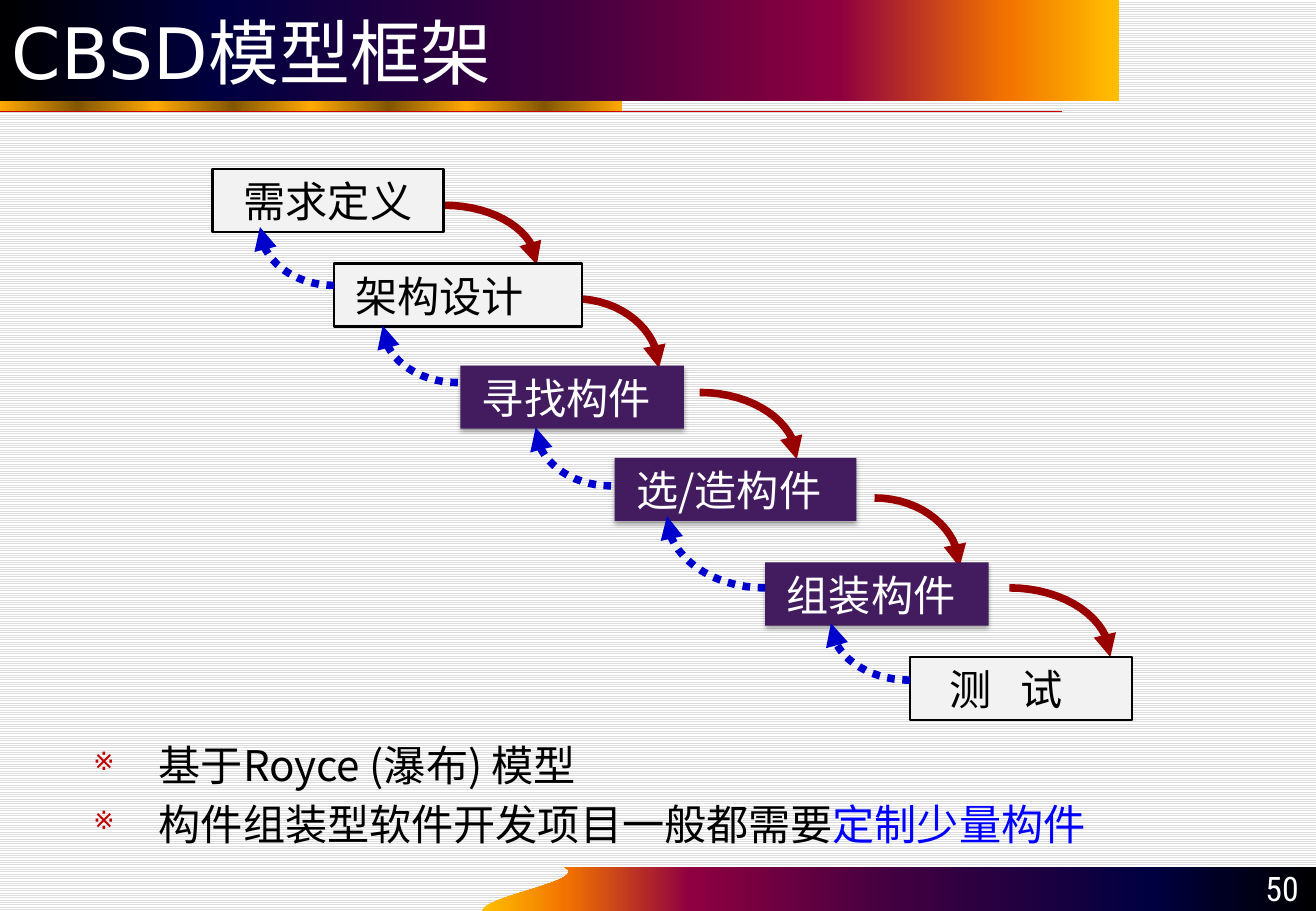
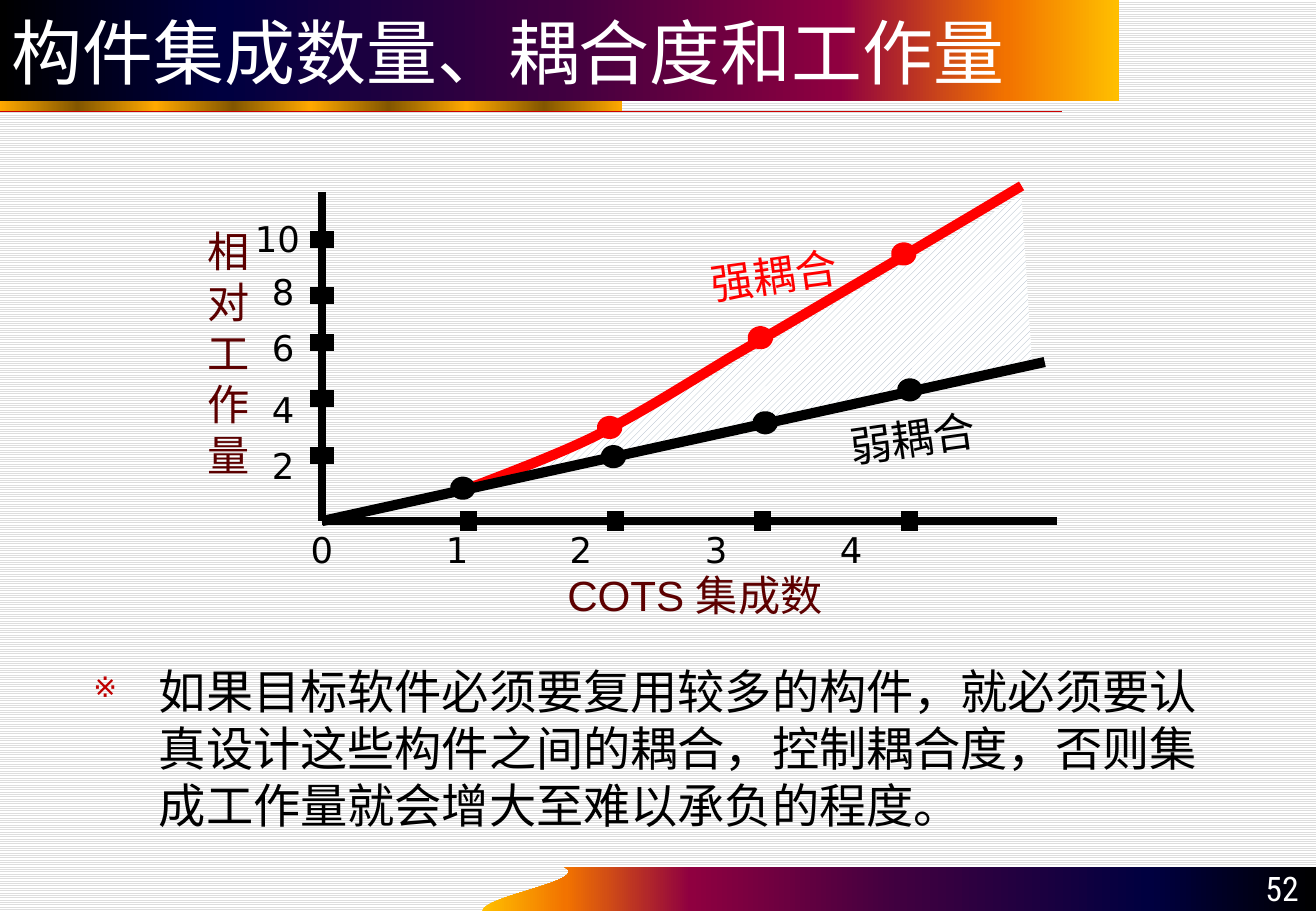
import pptx
import pptx.dml.color
import pptx.enum.dml
import pptx.enum.shapes
import pptx.enum.text
import pptx.oxml.ns
import pptx.util
from lxml import etree

Pt = pptx.util.Pt
qn = pptx.oxml.ns.qn
Align = pptx.enum.text.PP_ALIGN
Anchor = pptx.enum.text.MSO_ANCHOR
Preset = pptx.enum.shapes.MSO_SHAPE
Pattern = pptx.enum.dml.MSO_PATTERN

BODY_FONT = "Noto Sans CJK SC"
DIGIT_FONT = "DejaVu Sans"
BLACK, WHITE, RED = "000000", "FFFFFF", "FF0000"
MAROON, PURPLE, PALE = "5C0000", "421C5E", "F2F2F2"
FORWARD, BACKWARD = "990000", "0000CC"
SUNSET = [(0, BLACK), (20, "000040"), (50, "400040"),
          (75, "8F0040"), (90, "F27300"), (100, "FFBF00")]
GOLD = [(12.5 * i, "825600" if i % 2 else "FFA800") for i in range(9)]


def color(value):
    return pptx.dml.color.RGBColor.from_string(value)


def add_element(parent, tag, **attributes):
    return etree.SubElement(parent, qn(tag), **attributes)


def set_pattern(fill, pattern, front):
    fill.patterned()
    fill.pattern = pattern
    fill.fore_color.rgb = color(front)
    fill.back_color.rgb = color(WHITE)


def set_gradient(shape, stops):
    shape.fill.gradient()
    shape.fill.gradient_angle = 0
    stop_list = shape.element.spPr.find(qn("a:gradFill")).find(qn("a:gsLst"))
    for stop in list(stop_list):
        stop_list.remove(stop)
    for position, value in stops:
        stop = add_element(stop_list, "a:gs", pos=str(int(position * 1000)))
        add_element(stop, "a:srgbClr", val=value)


def bezier(start, first, second, end, steps=16):
    points = []
    for i in range(1, steps + 1):
        t = i / steps
        weights = ((1 - t) ** 3, 3 * t * (1 - t) ** 2, 3 * t * t * (1 - t), t ** 3)
        points.append(tuple(sum(w * p[axis] for w, p in zip(weights, (start, first, second, end)))
                            for axis in (0, 1)))
    return points


def write_text(shape, paragraphs, size=25, font=BODY_FONT, ink=BLACK, align=Align.LEFT,
               anchor=Anchor.TOP, insets=(7.2, 3.6, 7.2, 3.6), leading=None,
               before=(), bullet=None, tabs=()):
    frame = shape.text_frame
    frame.word_wrap = True
    frame.vertical_anchor = anchor
    frame.margin_left, frame.margin_top, frame.margin_right, frame.margin_bottom = map(Pt, insets)
    for index, content in enumerate(paragraphs):
        paragraph = frame.add_paragraph() if index else frame.paragraphs[0]
        paragraph.alignment = align
        properties = paragraph._p.get_or_add_pPr()
        if bullet:
            properties.set("marL", str(Pt(38.9)))
            properties.set("indent", str(-Pt(38.9)))
            add_element(add_element(properties, "a:buClr"), "a:srgbClr", val="C00000")
            add_element(properties, "a:buSzPct", val="60000")
            add_element(properties, "a:buChar", char=bullet)
        if tabs:
            tab_list = add_element(properties, "a:tabLst")
            for stop in tabs:
                add_element(tab_list, "a:tab", pos=str(Pt(stop)), algn="l")
        if leading:
            paragraph.line_spacing = Pt(round(size * leading, 2))
        if index and before:
            paragraph.space_before = Pt(before[index - 1])
        for text, changes in [(content, {})] if isinstance(content, str) else content:
            for number, line in enumerate(text.split("\n")):
                if number:
                    paragraph.add_line_break()
                run = paragraph.add_run()
                run.text = line
                run.font.size = Pt(size)
                run.font.color.rgb = color(changes.get("ink", ink))
                run.font.name = changes.get("font", font)
                add_element(run._r.get_or_add_rPr(), "a:ea", typeface=run.font.name)


class Deck:
    leading = 1.21

    def __init__(self):
        self.presentation = pptx.Presentation()
        self.presentation.slide_width = Pt(780)
        self.presentation.slide_height = Pt(540)
        self.slide = None

    def start(self, title, number):
        self.slide = self.presentation.slides.add_slide(self.presentation.slide_layouts[6])
        set_pattern(self.slide.background.fill, Pattern.LIGHT_HORIZONTAL, "DDDDDD")
        corner, tip = (285.8, 540), (334.8, 514.1)
        footer = self.outline([tip, (780, 514.1), (780, 540), corner]
                              + bezier(corner, (285.8, 531.4), (350.6, 522), tip), close=True)
        set_gradient(footer, [(100 - position, value) for position, value in reversed(SUNSET)])
        set_gradient(self.shape(0, 60, 368.6, 6.2), GOLD)
        self.line((0, 66.2), (629.3, 66.2), 0.75, "CC0000")
        band = self.shape(0, 0, 663.1, 60.2)
        set_gradient(band, SUNSET)
        write_text(band, [title], size=42, font=DIGIT_FONT, ink=WHITE, anchor=Anchor.MIDDLE)
        self.text(707.8, 513.4, 69.1, 28.8, [str(number)], size=20, font="Roboto Condensed",
                  ink=WHITE, align=Align.RIGHT, anchor=Anchor.BOTTOM, leading=None)

    def shape(self, left, top, width, height, fill=None, line=None, weight=1.5,
              preset=Preset.RECTANGLE, shadow=False):
        shape = self.slide.shapes.add_shape(preset, Pt(left), Pt(top), Pt(width), Pt(height))
        shape.shadow.inherit = False
        if fill:
            shape.fill.solid()
            shape.fill.fore_color.rgb = color(fill)
        self.stroke(shape, line, weight)
        if shadow:
            effects = shape.element.spPr.find(qn("a:effectLst"))
            outer = add_element(effects, "a:outerShdw", blurRad=str(Pt(3.1)), dist=str(Pt(1.8)),
                                dir="5400000", rotWithShape="0")
            add_element(add_element(outer, "a:srgbClr", val=BLACK), "a:alpha", val="35000")
        return shape

    def stroke(self, shape, line, weight):
        if line:
            shape.line.color.rgb = color(line)
            shape.line.width = Pt(weight)
        else:
            shape.line.fill.background()

    def outline(self, points, line=None, weight=1, close=False):
        start, *others = [(Pt(x), Pt(y)) for x, y in points]
        builder = self.slide.shapes.build_freeform(*start, scale=1.0)
        builder.add_line_segments(others, close=close)
        shape = builder.convert_to_shape()
        shape.shadow.inherit = False
        if not close:
            shape.fill.background()
        self.stroke(shape, line, weight)
        return shape

    def arc_arrow(self, start, end, ink, dotted=False):
        (x0, y0), (x1, y1) = start, end
        first = (x0 + 0.55 * (x1 - x0), y0)
        second = (x1, y1 - 0.55 * (y1 - y0))
        shape = self.outline([start] + bezier(start, first, second, end), ink, 4.5)
        if dotted:
            shape.line.dash_style = pptx.enum.dml.MSO_LINE.ROUND_DOT
        add_element(shape.element.spPr.find(qn("a:ln")), "a:tailEnd", type="triangle")

    def line(self, start, end, weight, ink=BLACK):
        connector = self.slide.shapes.add_connector(
            pptx.enum.shapes.MSO_CONNECTOR.STRAIGHT, *map(Pt, start + end))
        self.stroke(connector, ink, weight)
        add_element(connector.element.spPr, "a:effectLst")

    def marker(self, x, y, ink):
        self.shape(x - 3.6, y - 2.9, 7.2, 5.8, ink, ink, 8, Preset.OVAL)

    def text(self, left, top, width, height, paragraphs, rotation=0, **style):
        box = self.slide.shapes.add_textbox(Pt(left), Pt(top), Pt(width), Pt(height))
        box.rotation = rotation
        write_text(box, paragraphs, **{"leading": self.leading, **style})

    def label(self, left, top, width, height, paragraphs, **style):
        self.text(left, top, width, height, paragraphs,
                  insets=(0, 0, 0, 0), align=Align.CENTER, **style)

    def digits(self, left, top, width, height, paragraphs, **style):
        self.text(left, top, width, height, paragraphs,
                  size=21, font=DIGIT_FONT, leading=None, **style)

    def body(self, top, height, paragraphs, **style):
        self.text(48.2, top, 682.6, height, paragraphs, bullet="※", **style)


def build_framework(deck):
    deck.start("CBSD模型框架", 50)
    deck.body(434.2, 73.4, ["基于Royce (瀑布) 模型",
                            [("构件组装型软件开发项目一般都需要", {}),
                             ("定制少量构件", {"ink": "0000FF"})]], before=(5,))
    forward = [((263.5, 121.7), (318.2, 157)), ((340.6, 177.1), (390.6, 218.2)),
               ((414.7, 232.6), (472.3, 272.2)), ((518.4, 295.2), (568.8, 336.2)),
               ((598.3, 348.5), (658.1, 389.5))]
    for start, end in forward:
        deck.arc_arrow(start, end, FORWARD)

    stages = [("需求定义", 126, 100.1, 136.8, False, {"align": Align.CENTER, "insets": (0, 3.6, 0, 3.6)}),
              ("架构设计", 198, 156.2, 146.9, False, {}),
              ("寻找构件", 272.9, 216.7, 132.5, True, {}),
              ("选/造构件", 364.3, 271.4, 143.3, True, {}),
              ("组装构件", 453.6, 333.4, 132.5, True, {}),
              ("测\t试", 539.3, 389.5, 131.8, False, {"tabs": (42,), "insets": (23.8, 3.6, 0, 3.6)})]
    for name, left, top, width, component, changes in stages:
        box = deck.shape(left, top, width, 37.4, PURPLE if component else PALE,
                         None if component else BLACK, shadow=component)
        style = {"insets": (12.8, 3.6, 0, 3.6), "leading": deck.leading, **changes}
        write_text(box, [name], ink=WHITE if component else BLACK, **style)

    backward = [((198, 169.2), (154.1, 134.6)), ((271.4, 226.8), (226.8, 193)),
                ((362.2, 288), (317.5, 253.4)), ((453.6, 348.5), (395.3, 306)),
                ((539.3, 403.2), (492.5, 369.4))]
    for start, end in backward:
        deck.arc_arrow(start, end, BACKWARD, dotted=True)


def build_coupling(deck):
    deck.start("构件集成数量、耦合度和工作量", 52)
    deck.body(388.8, 108, ["如果目标软件必须要复用较多的构件，就必须要认真设计这些构件之间的耦合，"
                           "控制耦合度，否则集成工作量就会增大至难以承负的程度。"], size=28)
    gap = deck.outline([(277.9, 292.3), (357.8, 257.8), (438.5, 213.8), (481, 187.9),
                        (517.7, 167), (605.5, 115.9), (612, 218.9), (518.4, 238.3),
                        (438.5, 257.8), (357.8, 272.2), (284.4, 287.3)], close=True)
    set_pattern(gap.fill, Pattern.WIDE_UPWARD_DIAGONAL, "A3B2C1")
    strong = [(270.7, 292.3), (284.4, 286.6), (324.7, 272.2), (351.4, 259.2), (378, 245.5),
              (389.5, 238.3), (432, 212.4), (474.5, 187.9), (569.5, 131.8), (605.5, 110.2)]
    curve = strong[:1]
    for i in range(0, 9, 3):
        curve += bezier(*strong[i:i + 4])
    deck.outline(curve, RED, 6)

    origin = (190.8, 308.9)
    deck.line((190.8, 113.8), origin, 4.5)
    deck.line(origin, (626.4, 308.9), 4.5)
    for y in (270, 236.2, 203, 175, 141.8):
        deck.line((183.6, y), (198, y), 10)
    for i in range(4):
        x = 277.9 + 87.1 * i
        deck.line((x, 303.1), (x, 314.6), 10)

    deck.label(316.8, 337, 190.1, 30.2, [[("COTS ", {"font": "Arial"}), ("集成数", {})]], ink=MAROON)
    deck.label(108, 133.2, 54.7, 151.2, ["相\n对\n工\n作\n量"], ink=MAROON)
    deck.digits(154.1, 156.6, 28.1, 136, ["8", "6", "4", "2"], before=(8, 11.6, 8))
    deck.digits(144, 125.2, 41.8, 32.4, ["10"])
    deck.digits(177.1, 309.2, 372.2, 32.4, ["0\t1\t2\t3\t4"], tabs=(80.1, 153.5, 233.6, 313.7))

    for x, y in ((274.3, 289.4), (363.6, 270.7), (453.6, 250.6), (539.3, 231.1)):
        deck.marker(x, y, BLACK)
    for x, y in ((361.4, 253.4), (450.7, 200.2), (535.7, 150.5)):
        deck.marker(x, y, RED)
    deck.label(387.4, 147.6, 142.6, 30.2, ["强耦合"], ink=RED, rotation=-8)
    deck.label(469.4, 244.1, 142.6, 30.2, ["弱耦合"], rotation=-8)
    deck.line(origin, (619.2, 214.6), 6)


def main():
    deck = Deck()
    build_framework(deck)
    build_coupling(deck)
    deck.presentation.save("out.pptx")


if __name__ == "__main__":
    main()
